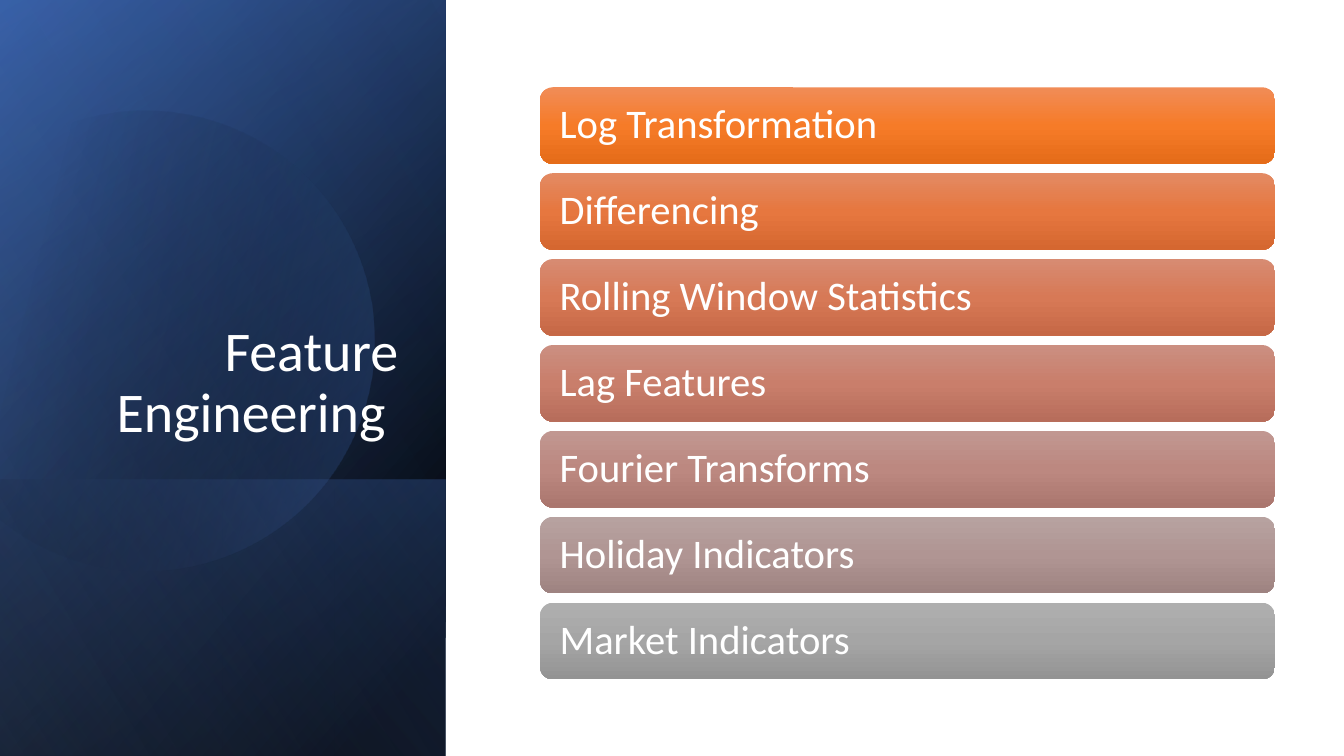
from dataclasses import dataclass
from math import cos, radians, sin

from lxml.etree import SubElement
from pptx import Presentation
from pptx.dml.color import RGBColor
from pptx.enum.shapes import MSO_SHAPE
from pptx.enum.text import MSO_ANCHOR, MSO_AUTO_SIZE, PP_ALIGN
from pptx.oxml.ns import qn
from pptx.shapes.autoshape import Shape
from pptx.slide import Slide
from pptx.util import Cm, Pt

WHITE = RGBColor(0xFF, 0xFF, 0xFF)
BLACK = RGBColor(0x00, 0x00, 0x00)
NAVY = RGBColor(0x2F, 0x55, 0x97)
BLUE = RGBColor(0x44, 0x72, 0xC4)
PALE_BLUE = RGBColor(0x8F, 0xAA, 0xDC)


@dataclass(frozen=True)
class Stop:
    position: int
    color: RGBColor
    alpha: int = 100


@dataclass(frozen=True)
class Gradient:
    angle: int
    stops: tuple[Stop, ...]


@dataclass(frozen=True)
class Panel:
    left: float
    top: float
    width: float
    height: float
    gradient: Gradient


@dataclass(frozen=True)
class Bar:
    text: str
    light: RGBColor
    middle: RGBColor
    dark: RGBColor


FULL_PANEL = (-3.91, 3.91, 19.05, 11.23)
PANELS = (
    Panel(*FULL_PANEL, Gradient(50, (Stop(8, BLACK), Stop(100, NAVY)))),
    Panel(*FULL_PANEL, Gradient(30, (Stop(0, BLACK, 0), Stop(99, BLUE, 46)))),
    Panel(2.13, 9.96, 6.96, 11.23,
          Gradient(130, (Stop(2, BLUE, 29), Stop(100, BLACK, 30)))),
)
SHEEN = Panel(*FULL_PANEL, Gradient(120, (Stop(0, BLACK, 0), Stop(99, PALE_BLUE, 11))))
DISC_GRADIENT = Gradient(30, (Stop(29, BLACK, 0), Stop(100, BLUE, 43)))
DISC_RADIUS = 5.79
DISC_TILT = 16.1
DISC_HALF_ARC = 134.3
DISC_STEPS = 120

BARS = (
    Bar("Log Transformation", RGBColor(0xF1, 0x8C, 0x57),
        RGBColor(0xF6, 0x7B, 0x28), RGBColor(0xE5, 0x6C, 0x19)),
    Bar("Differencing", RGBColor(0xE3, 0x8A, 0x63),
        RGBColor(0xE6, 0x77, 0x3F), RGBColor(0xD5, 0x67, 0x30)),
    Bar("Rolling Window Statistics", RGBColor(0xD7, 0x8B, 0x72),
        RGBColor(0xD7, 0x79, 0x56), RGBColor(0xC6, 0x68, 0x46)),
    Bar("Lag Features", RGBColor(0xCB, 0x8F, 0x81),
        RGBColor(0xC9, 0x7E, 0x6B), RGBColor(0xB7, 0x6D, 0x5B)),
    Bar("Fourier Transforms", RGBColor(0xC1, 0x97, 0x91),
        RGBColor(0xBC, 0x88, 0x80), RGBColor(0xAA, 0x76, 0x6E)),
    Bar("Holiday Indicators", RGBColor(0xB7, 0xA2, 0xA0),
        RGBColor(0xB0, 0x95, 0x93), RGBColor(0x9E, 0x83, 0x81)),
    Bar("Market Indicators", RGBColor(0xAF, 0xAF, 0xAF),
        RGBColor(0xA5, 0xA5, 0xA5), RGBColor(0x93, 0x93, 0x93)),
)
BAR_TOP = 2.2
BAR_PITCH = (15.19 - BAR_TOP) / (len(BARS) - 1)


def apply_gradient(sp: Shape, gradient: Gradient) -> None:
    sp.shadow.inherit = False
    sp.line.fill.background()
    sp.fill.gradient()
    fill = sp.element.spPr.find(qn("a:gradFill"))
    for child in list(fill):
        fill.remove(child)
    fill.set("rotWithShape", "1")
    stop_list = SubElement(fill, qn("a:gsLst"))
    for stop in gradient.stops:
        gs = SubElement(stop_list, qn("a:gs"), pos=str(stop.position * 1000))
        color = SubElement(gs, qn("a:srgbClr"), val=str(stop.color))
        if stop.alpha < 100:
            SubElement(color, qn("a:alpha"), val=str(stop.alpha * 1000))
    SubElement(fill, qn("a:lin"), ang=str(gradient.angle * 60000), scaled="0")


def format_text(sp: Shape, text: str, size: int, align: PP_ALIGN, frame: dict) -> None:
    tf = sp.text_frame
    for name, value in frame.items():
        setattr(tf, name, value)
    p = tf.paragraphs[0]
    p.alignment = align
    p.line_spacing = 0.9
    r = p.add_run()
    r.text = text
    for name, value in {"name": "Calibri", "size": Pt(size), "bold": False}.items():
        setattr(r.font, name, value)
    r.font.color.rgb = WHITE


def draw_panel(s: Slide, panel: Panel) -> None:
    box = (panel.left, panel.top, panel.width, panel.height)
    sp = s.shapes.add_shape(MSO_SHAPE.RECTANGLE, *map(Cm, box))
    sp.rotation = 90
    sp.element.spPr.find(qn("a:xfrm")).set("flipH", "1")
    apply_gradient(sp, panel.gradient)


def draw_disc(s: Slide) -> None:
    angles = [radians(DISC_TILT + DISC_HALF_ARC * (2 * i / DISC_STEPS - 1))
              for i in range(DISC_STEPS + 1)]
    points = [(Cm(DISC_RADIUS * cos(a)), Cm(DISC_RADIUS * sin(a))) for a in angles]
    builder = s.shapes.build_freeform(*points[0])
    builder.add_line_segments(points[1:], close=True)
    sp = builder.convert_to_shape()
    for name, value in {"left": Cm(-1.4), "top": Cm(2.69),
                        "rotation": 360 - DISC_TILT}.items():
        setattr(sp, name, value)
    apply_gradient(sp, DISC_GRADIENT)


def draw_title(s: Slide) -> None:
    sp = s.shapes.title
    for name, value in {"left": Cm(1.63), "top": Cm(4.67),
                        "width": Cm(8.66), "height": Cm(6.65)}.items():
        setattr(sp, name, value)
    format_text(sp, "Feature Engineering ", 40, PP_ALIGN.RIGHT, {
        "vertical_anchor": MSO_ANCHOR.BOTTOM,
        "auto_size": MSO_AUTO_SIZE.NONE,
        "word_wrap": True,
    })
    sp.element.getparent().append(sp.element)


def draw_bar(s: Slide, index: int, bar: Bar) -> None:
    sp = s.shapes.add_shape(MSO_SHAPE.ROUNDED_RECTANGLE, Cm(13.61),
                            Cm(BAR_TOP + index * BAR_PITCH), Cm(18.52), Cm(1.93))
    apply_gradient(sp, Gradient(90, (Stop(0, bar.light), Stop(50, bar.middle),
                                     Stop(100, bar.dark))))
    format_text(sp, bar.text, 29, PP_ALIGN.LEFT, {
        "vertical_anchor": MSO_ANCHOR.MIDDLE,
        "word_wrap": True,
        "margin_left": Cm(0.4),
        "margin_right": Cm(0.4),
    })


def main() -> None:
    prs = Presentation()
    prs.slide_width, prs.slide_height = Cm(33.87), Cm(19.05)
    s = prs.slides.add_slide(prs.slide_layouts.get_by_name("Title Only"))
    for panel in PANELS:
        draw_panel(s, panel)
    draw_disc(s)
    draw_panel(s, SHEEN)
    draw_title(s)
    for index, bar in enumerate(BARS):
        draw_bar(s, index, bar)
    prs.save("out.pptx")


if __name__ == "__main__":
    main()
